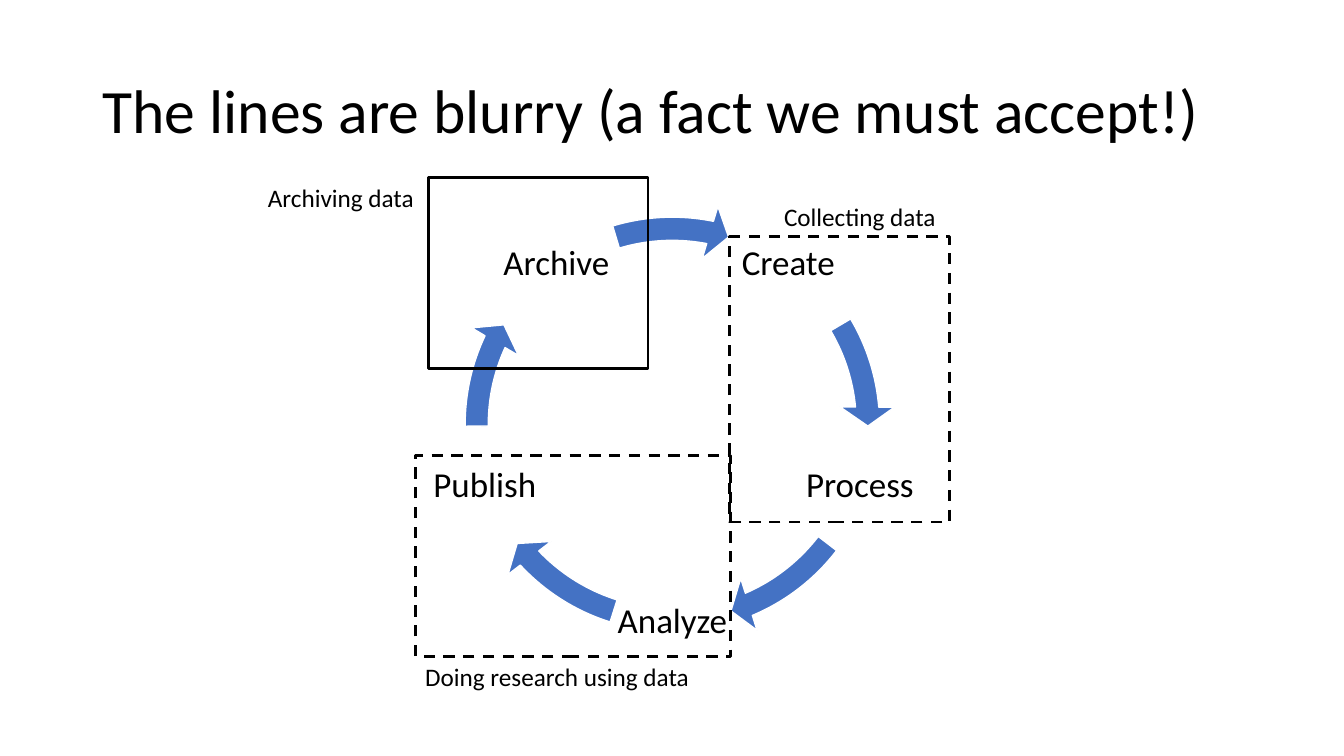
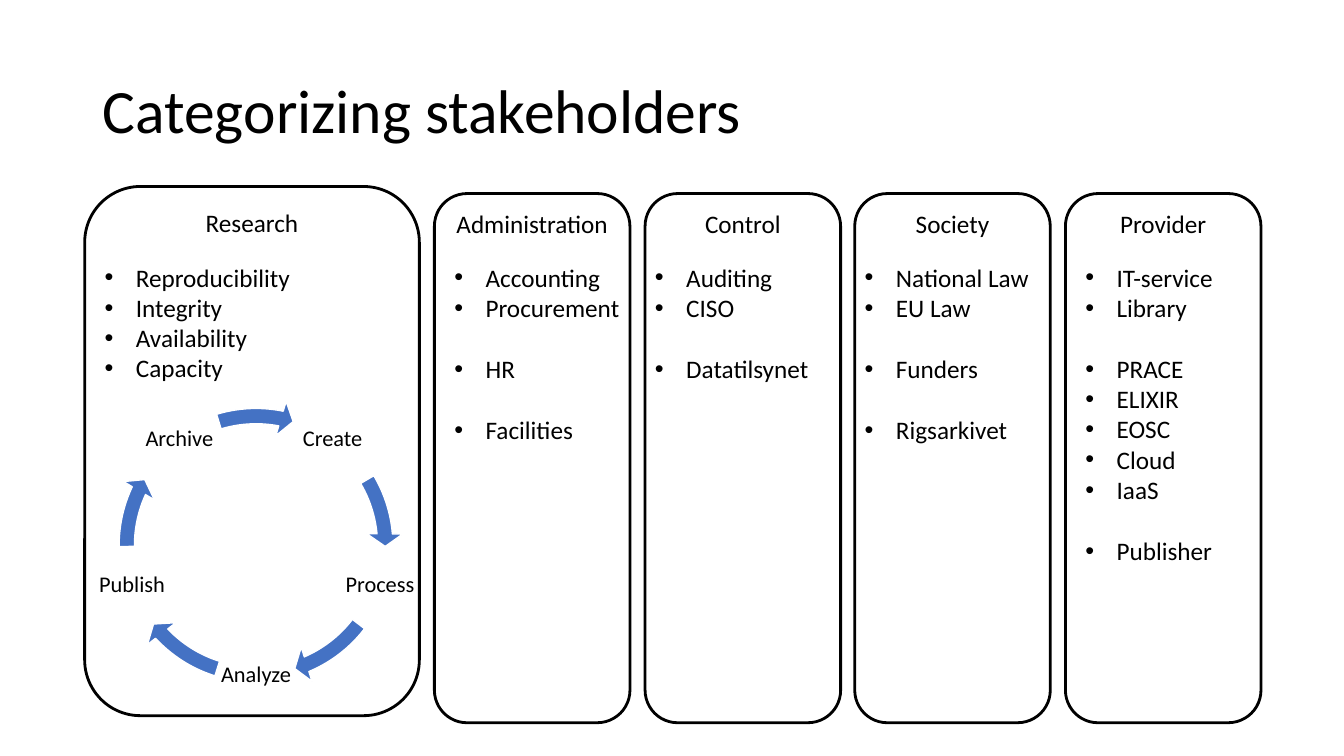
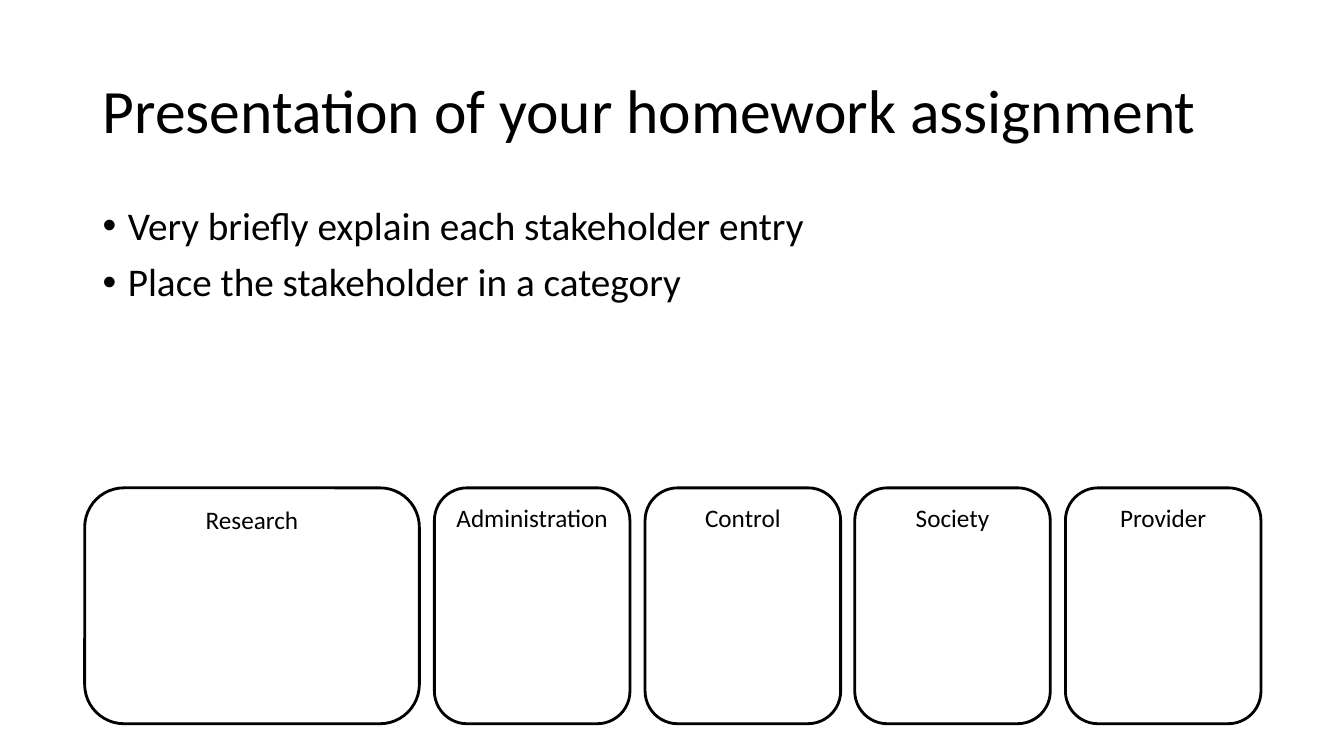
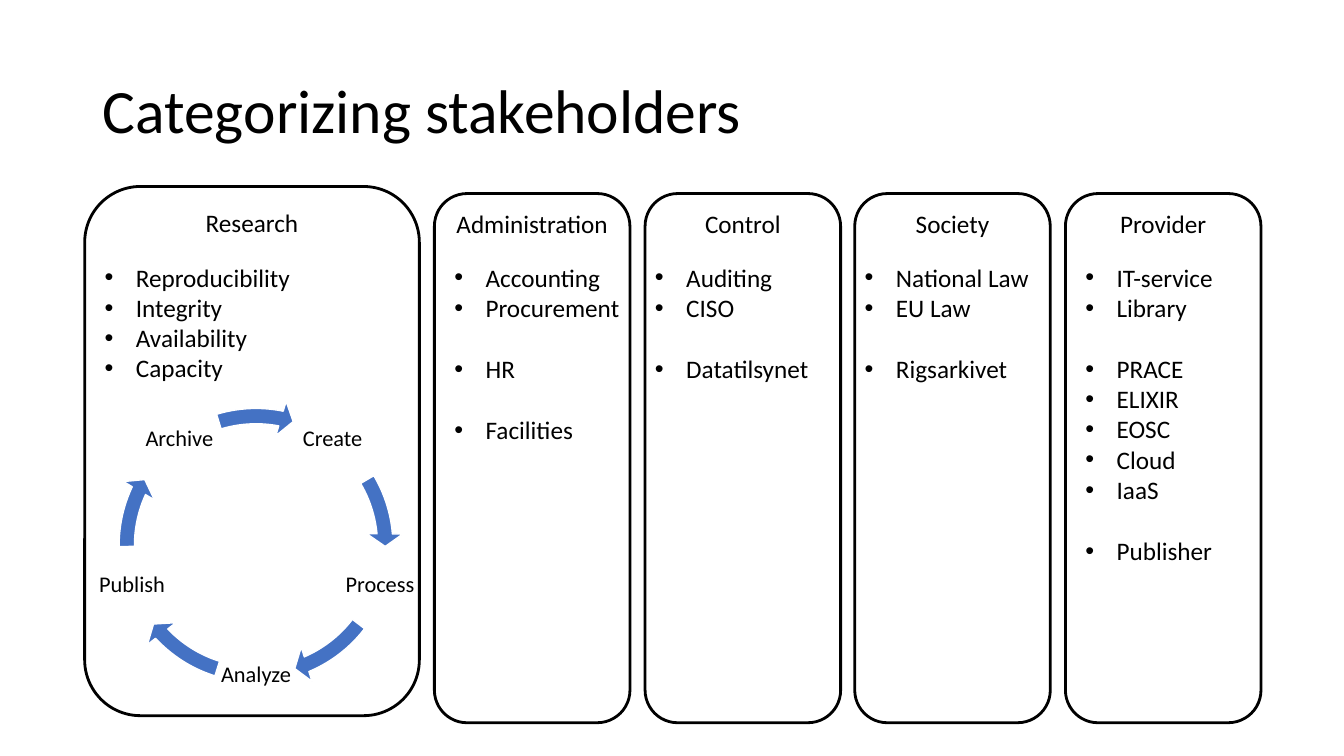
"""Build four slides on the data life cycle and its stakeholders."""
import dataclasses
import math
import typing

import lxml.etree
import pptx
import pptx.dml.color
import pptx.enum.dml
import pptx.enum.shapes
import pptx.enum.text
import pptx.oxml.ns
import pptx.util

PX = 9144
FONT = "Calibri"
BLACK = pptx.dml.color.RGBColor(0x00, 0x00, 0x00)
WHITE = pptx.dml.color.RGBColor(0xFF, 0xFF, 0xFF)
BLUE = pptx.dml.color.RGBColor(0x44, 0x72, 0xC4)
KIND = pptx.enum.shapes.MSO_SHAPE
MID = pptx.enum.text.MSO_ANCHOR.MIDDLE
TOP = pptx.enum.text.MSO_ANCHOR.TOP
MID_ROW = pptx.enum.text.PP_ALIGN.CENTER
FIT = pptx.enum.text.MSO_AUTO_SIZE.SHAPE_TO_FIT_TEXT
DASH = pptx.enum.dml.MSO_LINE.DASH

LABEL = {"word_wrap": False, "auto_size": FIT}
BLOCK = {"word_wrap": True, "vertical_anchor": TOP}
HEAD = {"word_wrap": True, "vertical_anchor": MID}
NODE = HEAD | {f"margin_{side}": 3 * PX for side in ("left", "top", "right", "bottom")}


@dataclasses.dataclass(frozen=True)
class Box:
    left: int
    top: int
    width: int
    height: int

    def emu(self) -> list[int]:
        return [n * PX for n in (self.left, self.top, self.width, self.height)]


@dataclasses.dataclass(frozen=True)
class Frame:
    box: Box
    label: str
    spot: Box
    dash: typing.Any = None


@dataclasses.dataclass(frozen=True)
class Group:
    name: str
    left: int
    width: int
    drop: int
    inset: int
    span: int
    items: tuple[tuple[str, ...], ...]


@dataclasses.dataclass(frozen=True)
class Step:
    name: str
    end: float
    start: float


STEPS = (
    Step("Create", 212.953, 197.644),
    Step("Process", 40.169, 22.514),
    Step("Analyze", 82.132, 64.477),
    Step("Publish", 123.002, 107.693),
    Step("Archive", 168.679, 151.968),
)

FRAMES = (
    Frame(Box(724, 235, 218, 283), "Collecting data", Box(768, 195, 173, 40), DASH),
    Frame(Box(412, 452, 313, 199), "Doing research using data", Box(412, 651, 285, 40), DASH),
    Frame(Box(425, 176, 218, 190), "Archiving data", Box(256, 176, 167, 40)),
)


def column(index: int, name: str, inset: int, span: int, *items: tuple[str, ...]) -> Group:
    return Group(name, 431 + round(index * 626 / 3), 194, 7, inset, span, items)


GROUPS = (
    Group("Research", 84, 332, 0, 10, 206,
          (("Reproducibility", "Integrity", "Availability", "Capacity"),)),
    column(0, "Administration", 10, 186,
           ("Accounting", "Procurement"), ("HR",), ("Facilities",)),
    column(1, "Control", 0, 174, ("Auditing", "CISO"), ("Datatilsynet",)),
    column(2, "Society", 0, 185,
           ("National Law", "EU Law"), ("Funders",), ("Rigsarkivet",)),
    column(3, "Provider", 10, 150, ("IT-service", "Library"),
           ("PRACE", "ELIXIR", "EOSC", "Cloud", "IaaS"), ("Publisher",)),
)


def apply(thing: typing.Any, form: dict[str, typing.Any]) -> None:
    for key, value in form.items():
        setattr(thing, key, value)


def write(shape: typing.Any, rows: typing.Sequence[str], size: int,
          form: dict[str, typing.Any], para: dict[str, typing.Any] | None = None,
          dent: int = 0, gaps: dict[int, int] | None = None) -> None:
    frame = shape.text_frame
    apply(frame, form)
    for index, row in enumerate(rows):
        line = frame.add_paragraph() if index else frame.paragraphs[0]
        apply(line, para or {})
        if gaps and index in gaps:
            line.space_before = pptx.util.Pt(gaps[index])
        if dent:
            props = line._p.get_or_add_pPr()
            props.set("marL", str(dent * PX))
            props.set("indent", str(-dent * PX))
            for tag, key, value in (("buFont", "typeface", "Arial"), ("buChar", "char", "•")):
                lxml.etree.SubElement(props, pptx.oxml.ns.qn(f"a:{tag}")).set(key, value)
        run = line.add_run()
        run.text = row
        apply(run.font, {"name": FONT, "size": pptx.util.Pt(size)})
        run.font.color.rgb = BLACK


def note(slide: typing.Any, box: Box, rows: typing.Sequence[str], size: int,
         form: dict[str, typing.Any], **more: typing.Any) -> None:
    write(slide.shapes.add_textbox(*box.emu()), rows, size, form, **more)


def draw(slide: typing.Any, kind: typing.Any, box: Box, edge: typing.Any = BLACK,
         width: int = 2, fill: typing.Any = None) -> typing.Any:
    shape = slide.shapes.add_shape(kind, *box.emu())
    shape.shadow.inherit = False
    if fill is None:
        shape.fill.background()
    else:
        shape.fill.solid()
        shape.fill.fore_color.rgb = fill
    shape.line.color.rgb = edge
    shape.line.width = pptx.util.Pt(width)
    return shape


def start(deck: typing.Any, title: str) -> typing.Any:
    slide = deck.slides.add_slide(deck.slide_layouts[6])
    note(slide, Box(92, 40, 1150, 145), [title], 44, HEAD, para={"line_spacing": 0.9})
    return slide


def cycle(slide: typing.Any, left: int, top: int, side: int, size: int) -> None:
    node = round(side * 0.267)
    reach = side * 0.4434
    for index, step in enumerate(STEPS):
        turn = math.radians(36 + 72 * index)
        box = Box(round(left + (side - node) / 2 + reach * math.sin(turn)),
                  round(top + (side - node) / 2 - reach * math.cos(turn)), node, node)
        note(slide, box, [step.name], size, NODE,
             para={"alignment": MID_ROW, "line_spacing": 0.9})
        arrow = draw(slide, KIND.CIRCULAR_ARROW, Box(left, top, side, side), WHITE, 1, BLUE)
        for slot, value in enumerate((0.052, 3.354, step.end, step.start, 0.061)):
            arrow.adjustments[slot] = value


def panels(slide: typing.Any, top: int, height: int, groups: typing.Sequence[Group],
           slope: int = 1) -> None:
    for group in groups:
        box = Box(group.left, top + group.drop * slope, group.width, height)
        write(draw(slide, KIND.ROUNDED_RECTANGLE, box), [group.name], 18, BLOCK,
              {"alignment": MID_ROW})


def lists(slide: typing.Any, groups: typing.Sequence[Group]) -> None:
    for group in groups:
        rows = [row for part in group.items for row in part]
        gaps: dict[int, int] = {}
        count = 0
        for part in group.items[:-1]:
            count += len(part)
            gaps[count] = 22
        tall = 10 + round(30.3 * (len(rows) + len(gaps)))
        note(slide, Box(group.left + group.inset, 255, group.span, tall), rows, 18, LABEL,
             dent=31, gaps=gaps)


def blurry(deck: typing.Any) -> None:
    slide = start(deck, "The lines are blurry (a fact we must accept!)")
    cycle(slide, 446, 200, 442, 25)
    for frame in FRAMES:
        draw(slide, KIND.RECTANGLE, frame.box).line.dash_style = frame.dash
        note(slide, frame.spot, [frame.label], 18, LABEL)


def sorting(deck: typing.Any, groups: typing.Sequence[Group]) -> None:
    slide = start(deck, "Categorizing stakeholders")
    cycle(slide, 108, 395, 292, 16)
    panels(slide, 185, 525, groups)
    lists(slide, groups)


def homework(deck: typing.Any) -> None:
    slide = start(deck, "Presentation of your homework assignment")
    rows = ["Very briefly explain each stakeholder entry", "Place the stakeholder in a category"]
    note(slide, Box(92, 200, 1150, 250), rows, 28, BLOCK,
         para={"line_spacing": 0.9}, dent=25, gaps={1: 10})
    panels(slide, 484, 234, GROUPS, 0)


def main() -> None:
    deck = pptx.Presentation()
    apply(deck, {"slide_width": 12192000, "slide_height": 750 * PX})
    blurry(deck)
    sorting(deck, GROUPS)
    homework(deck)
    sorting(deck, [
        dataclasses.replace(group, items=tuple(p for p in group.items if p != ("Funders",)))
        for group in GROUPS
    ])
    deck.save("out.pptx")


if __name__ == "__main__":
    main()
